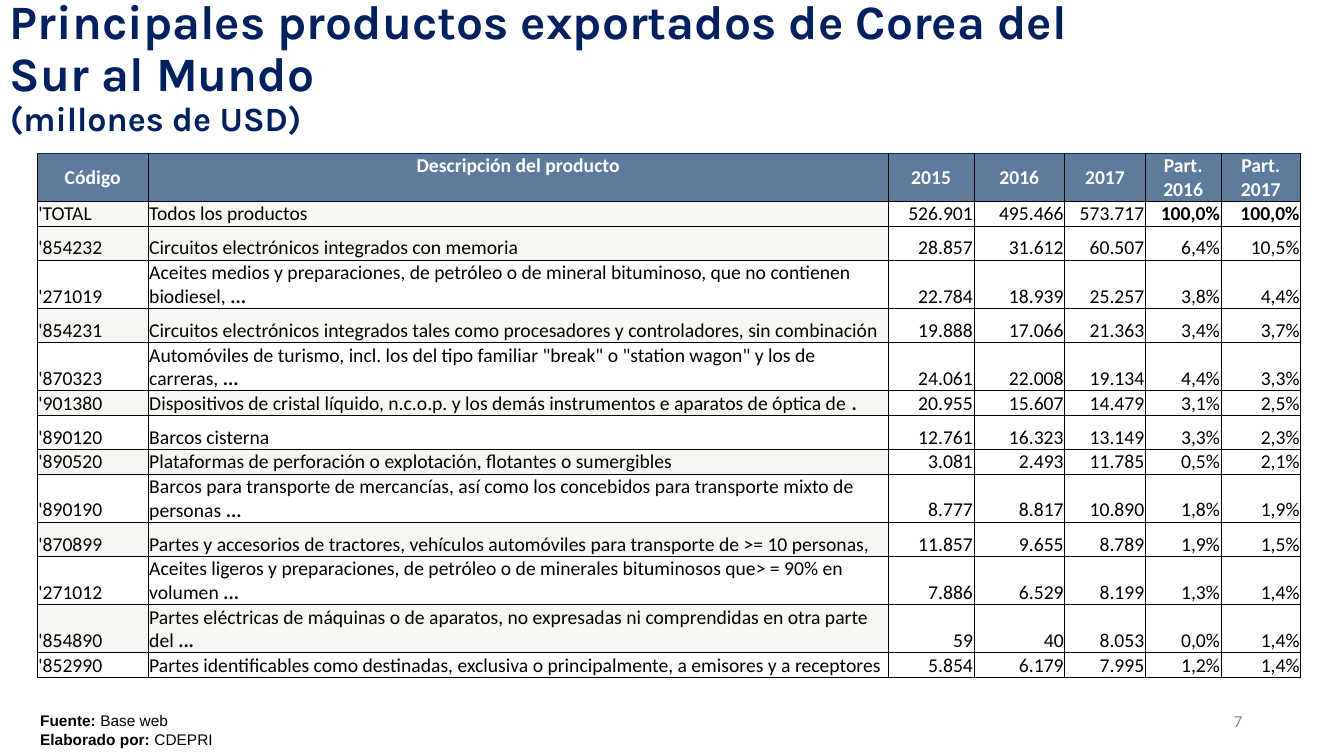
import pptx
import pptx.util
import pptx.dml.color
import pptx.enum.text
import pptx.oxml
import pptx.oxml.ns

Inches = pptx.util.Inches
RGBColor = pptx.dml.color.RGBColor
Align = pptx.enum.text.PP_ALIGN
Anchor = pptx.enum.text.MSO_ANCHOR

NAVY = RGBColor(0x00, 0x20, 0x60)
STEEL = RGBColor(0x5D, 0x7B, 0x9D)
CREAM = RGBColor(0xF7, 0xF6, 0xF3)
WHITE = RGBColor(0xFF, 0xFF, 0xFF)
BLACK = RGBColor(0x00, 0x00, 0x00)
GRAY = RGBColor(0x8C, 0x8C, 0x8C)
HEADER_EDGE = RGBColor(0x00, 0x2B, 0x54)

TITLE = "Principales productos exportados de Corea del Sur al Mundo "
SUBTITLE = "(millones de USD)"
CREDITS = [("Fuente: ", "Base web"), ("Elaborado por: ", "CDEPRI")]
PAGE_NUMBER = "7"

PRODUCTS = [
    ("Código", "Descripción del producto", "2015", "2016", "2017", "Part. 2016", "Part. 2017"),
    ("'TOTAL", "Todos los productos", "526.901", "495.466", "573.717", "100,0%", "100,0%"),
    ("'854232", "Circuitos electrónicos integrados con memoria",
     "28.857", "31.612", "60.507", "6,4%", "10,5%"),
    ("'271019", "Aceites medios y preparaciones, de petróleo o de mineral bituminoso, "
     "que no contienen biodiesel, ...", "22.784", "18.939", "25.257", "3,8%", "4,4%"),
    ("'854231", "Circuitos electrónicos integrados tales como procesadores y controladores, "
     "sin combinación", "19.888", "17.066", "21.363", "3,4%", "3,7%"),
    ("'870323", "Automóviles de turismo, incl. los del tipo familiar \"break\" o "
     "\"station wagon\" y los de carreras, ...", "24.061", "22.008", "19.134", "4,4%", "3,3%"),
    ("'901380", "Dispositivos de cristal líquido, n.c.o.p. y los demás instrumentos e "
     "aparatos de óptica de .", "20.955", "15.607", "14.479", "3,1%", "2,5%"),
    ("'890120", "Barcos cisterna", "12.761", "16.323", "13.149", "3,3%", "2,3%"),
    ("'890520", "Plataformas de perforación o explotación, flotantes o sumergibles",
     "3.081", "2.493", "11.785", "0,5%", "2,1%"),
    ("'890190", "Barcos para transporte de mercancías, así como los concebidos para "
     "transporte mixto de personas ...", "8.777", "8.817", "10.890", "1,8%", "1,9%"),
    ("'870899", "Partes y accesorios de tractores, vehículos automóviles para transporte "
     "de >= 10 personas,", "11.857", "9.655", "8.789", "1,9%", "1,5%"),
    ("'271012", "Aceites ligeros y preparaciones, de petróleo o de minerales bituminosos "
     "que> = 90% en volumen ...", "7.886", "6.529", "8.199", "1,3%", "1,4%"),
    ("'854890", "Partes eléctricas de máquinas o de aparatos, no expresadas ni "
     "comprendidas en otra parte del ...", "59", "40", "8.053", "0,0%", "1,4%"),
    ("'852990", "Partes identificables como destinadas, exclusiva o principalmente, a "
     "emisores y a receptores", "5.854", "6.179", "7.995", "1,2%", "1,4%"),
]
COLUMN_WIDTHS = [1.1, 7.34, 0.85, 0.9, 0.8, 0.75, 0.79]
ROW_HEIGHTS = [0.39, 0.2, 0.34, 0.2, 0.34, 0.18, 0.18, 0.34, 0.18, 0.34, 0.34, 0.34, 0.2, 0.2]


def add_span(para, text, font, size, color, bold=False):
    span = para.add_run()
    span.text = text
    span.font.name = font
    span.font.size = pptx.util.Pt(size)
    span.font.color.rgb = color
    span.font.bold = bold


def add_box(page, left, top, width, height, anchor=Anchor.TOP):
    box = page.shapes.add_textbox(*(Inches(side) for side in (left, top, width, height)))
    box.text_frame.word_wrap = True
    box.text_frame.vertical_anchor = anchor
    return box.text_frame


def add_borders(cell, top_color):
    namespace = pptx.oxml.ns.nsdecls("a")
    for side in "LRTB":
        color = top_color if side == "T" else BLACK
        cell._tc.get_or_add_tcPr().append(pptx.oxml.parse_xml(
            f'<a:ln{side} {namespace} w="6350"><a:solidFill>'
            f'<a:srgbClr val="{color}"/></a:solidFill></a:ln{side}>'))


def fill_cell(cell, text, row, column):
    header = row == 0
    add_borders(cell, HEADER_EDGE if header else BLACK)
    cell.margin_left = cell.margin_right = cell.margin_top = Inches(0.01)
    cell.margin_bottom = 0
    cell.fill.solid()
    para = cell.text_frame.paragraphs[0]
    if header:
        cell.fill.fore_color.rgb = STEEL
        cell.vertical_anchor = Anchor.TOP if column == 1 else Anchor.MIDDLE
        para.alignment = Align.CENTER
    else:
        shaded = column < 2 and (row == 1 or row % 2 == 0)
        cell.fill.fore_color.rgb = CREAM if shaded else WHITE
        cell.vertical_anchor = Anchor.BOTTOM
        para.alignment = Align.LEFT if column < 2 else Align.RIGHT
    color = WHITE if header else BLACK
    total_share = row == 1 and column >= 5
    stem = text.rstrip(".")
    add_span(para, stem, "Calibri", 14, color, header or total_share)
    if stem != text:
        add_span(para, text[len(stem):], "Calibri", 14, color, True)


def add_products(page):
    frame = page.shapes.add_table(len(PRODUCTS), len(COLUMN_WIDTHS), Inches(0.37),
                                  Inches(1.52), Inches(12.53), Inches(5.19))
    table = frame.table
    table.first_row = table.horz_banding = False
    for column, width in zip(table.columns, COLUMN_WIDTHS):
        column.width = Inches(width)
    for row, height in zip(table.rows, ROW_HEIGHTS):
        row.height = Inches(height)
    frame.height = Inches(5.19)
    for row, product in enumerate(PRODUCTS):
        for column, text in enumerate(product):
            fill_cell(table.cell(row, column), text, row, column)


def main():
    deck = pptx.Presentation()
    deck.slide_width, deck.slide_height = Inches(13.33), Inches(7.5)
    page = deck.slides.add_slide(deck.slide_layouts[6])

    title = add_box(page, 0, 0, 11.44, 1.36, Anchor.MIDDLE).paragraphs[0]
    title.line_spacing = 0.9
    add_span(title, TITLE, "Karla", 34.2, NAVY, True)
    title.add_line_break()
    add_span(title, SUBTITLE, "Karla", 24.3, NAVY, True)

    credits = add_box(page, 0.3, 7.01, 5.59, 0.49)
    for index, (label, name) in enumerate(CREDITS):
        para = credits.add_paragraph() if index else credits.paragraphs[0]
        add_span(para, label, "Arial", 11, BLACK, True)
        add_span(para, name, "Arial", 11, BLACK)

    add_products(page)

    number = add_box(page, 9.42, 6.95, 3, 0.4, Anchor.MIDDLE).paragraphs[0]
    number.alignment = Align.RIGHT
    add_span(number, PAGE_NUMBER, "Calibri", 12, GRAY)

    deck.save("out.pptx")


if __name__ == "__main__":
    main()
